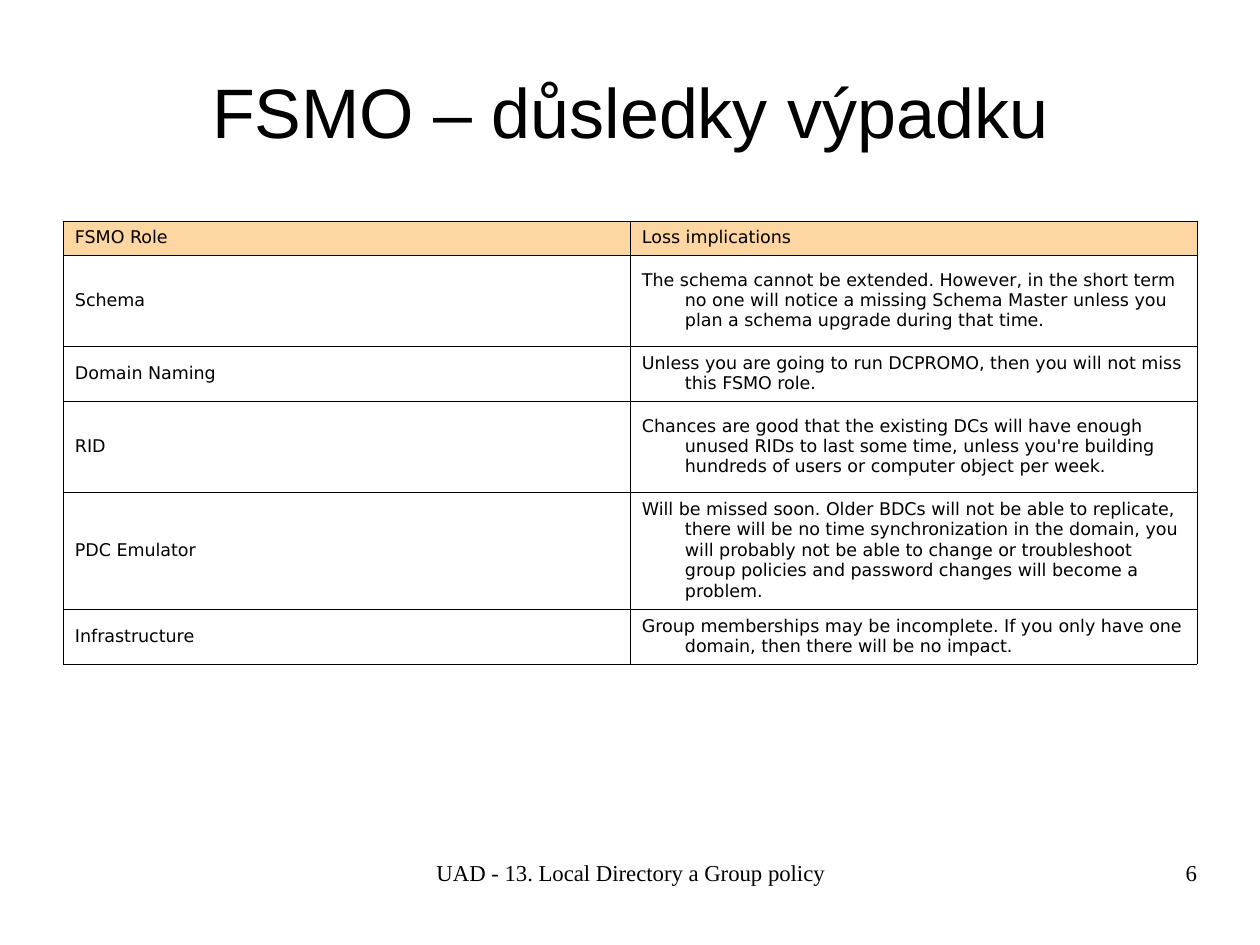
import dataclasses
import typing

import pptx
import pptx.dml.color
import pptx.enum.text
import pptx.oxml
import pptx.oxml.ns
import pptx.util

Align = pptx.enum.text.PP_ALIGN
Anchor = pptx.enum.text.MSO_ANCHOR
RGB = pptx.dml.color.RGBColor


def px(count: int) -> int:
    return round(count * 914400 / 126)


@dataclasses.dataclass(frozen=True)
class Theme:
    ink: RGB = RGB(0, 0, 0)
    head: RGB = RGB(0xFD, 0xD6, 0xA2)
    sans: str = "Arial"
    cell: str = "DejaVu Sans"
    serif: str = "Times New Roman"
    big: int = 40
    small: int = 10
    foot: int = 13
    rule: float = 0.34


class Box(typing.NamedTuple):
    left: int
    top: int
    width: int
    height: int


class Label(typing.NamedTuple):
    text: str
    box: Box
    font: str
    size: int
    align: Align
    anchor: Anchor
    space: float


class Role(typing.NamedTuple):
    name: str
    loss: str
    height: int


THEME = Theme()
MARGIN = 63
COLUMN = 567
TABLE_TOP = 221
FOOT_TOP = 861

LABELS = (
    Label("FSMO – důsledky výpadku", Box(MARGIN, 38, 1134, 157),
          THEME.sans, THEME.big, Align.CENTER, Anchor.MIDDLE, 0.87),
    Label("UAD - 13. Local Directory a Group policy", Box(431, FOOT_TOP, 399, 66),
          THEME.serif, THEME.foot, Align.CENTER, Anchor.TOP, 0.93),
    Label("6", Box(903, FOOT_TOP, 294, 66),
          THEME.serif, THEME.foot, Align.RIGHT, Anchor.TOP, 0.93),
)

ROLES = (
    Role("FSMO Role", "Loss implications", 34),
    Role("Schema",
         "The schema cannot be extended. However, in the short term no one will "
         "notice a missing Schema Master unless you plan a schema upgrade during "
         "that time.", 91),
    Role("Domain Naming",
         "Unless you are going to run DCPROMO, then you will not miss this FSMO "
         "role.", 55),
    Role("RID",
         "Chances are good that the existing DCs will have enough unused RIDs to "
         "last some time, unless you're building hundreds of users or computer "
         "object per week.", 91),
    Role("PDC Emulator",
         "Will be missed soon. Older BDCs will not be able to replicate, there "
         "will be no time synchronization in the domain, you will probably not be "
         "able to change or troubleshoot group policies and password changes will "
         "become a problem.", 117),
    Role("Infrastructure",
         "Group memberships may be incomplete. If you only have one domain, then "
         "there will be no impact.", 55),
)


def write(frame: typing.Any, text: str, *, font: str, size: int,
          align: Align = Align.LEFT, space: float = 1.0, hang: int = 0) -> None:
    """Fill a text frame with one paragraph; hang indents its later lines."""
    frame.word_wrap = True
    para = frame.paragraphs[0]
    para.alignment = align
    para.line_spacing = space
    if hang:
        props = para._p.get_or_add_pPr()
        props.set("marL", str(px(hang)))
        props.set("indent", str(-px(hang)))
    run = para.add_run()
    run.text = text
    run.font.name = font
    run.font.size = pptx.util.Pt(size)
    run.font.bold = False
    run.font.color.rgb = THEME.ink


def place(slide: typing.Any, label: Label) -> None:
    frame = slide.shapes.add_textbox(*map(px, label.box)).text_frame
    frame.margin_left = frame.margin_right = 0
    frame.margin_top = frame.margin_bottom = 0
    frame.vertical_anchor = label.anchor
    write(frame, label.text, font=label.font, size=label.size,
          align=label.align, space=label.space)


def edge(cell: typing.Any) -> None:
    """Rule all four sides of a cell; must come before its fill."""
    props = cell._tc.get_or_add_tcPr()
    for side in "LRTB":
        props.append(pptx.oxml.parse_xml(
            f'<a:ln{side} {pptx.oxml.ns.nsdecls("a")} '
            f'w="{pptx.util.Pt(THEME.rule)}"><a:solidFill>'
            f'<a:srgbClr val="{THEME.ink}"/></a:solidFill></a:ln{side}>'))


def style(cell: typing.Any, text: str, head: bool) -> None:
    cell.margin_left = cell.margin_right = px(12)
    cell.margin_top = cell.margin_bottom = px(6)
    cell.vertical_anchor = Anchor.MIDDLE
    edge(cell)
    if head:
        cell.fill.solid()
        cell.fill.fore_color.rgb = THEME.head
    else:
        cell.fill.background()
    write(cell.text_frame, text, font=THEME.cell, size=THEME.small, hang=43)


def chart_roles(slide: typing.Any, roles: typing.Sequence[Role]) -> None:
    """Draw the table of roles, the first one being the header."""
    box = Box(MARGIN, TABLE_TOP, 2 * COLUMN, sum(role.height for role in roles))
    table = slide.shapes.add_table(len(roles), 2, *map(px, box)).table
    table.horz_banding = False
    for column in table.columns:
        column.width = px(COLUMN)
    for index, role in enumerate(roles):
        table.rows[index].height = px(role.height)
        for col, text in enumerate((role.name, role.loss)):
            style(table.cell(index, col), text, head=index == 0)


def main() -> None:
    deck = pptx.Presentation()
    deck.slide_width = px(1260)
    deck.slide_height = px(945)
    slide = deck.slides.add_slide(deck.slide_layouts[6])
    chart_roles(slide, ROLES)
    for label in LABELS:
        place(slide, label)
    deck.save("out.pptx")


if __name__ == "__main__":
    main()
